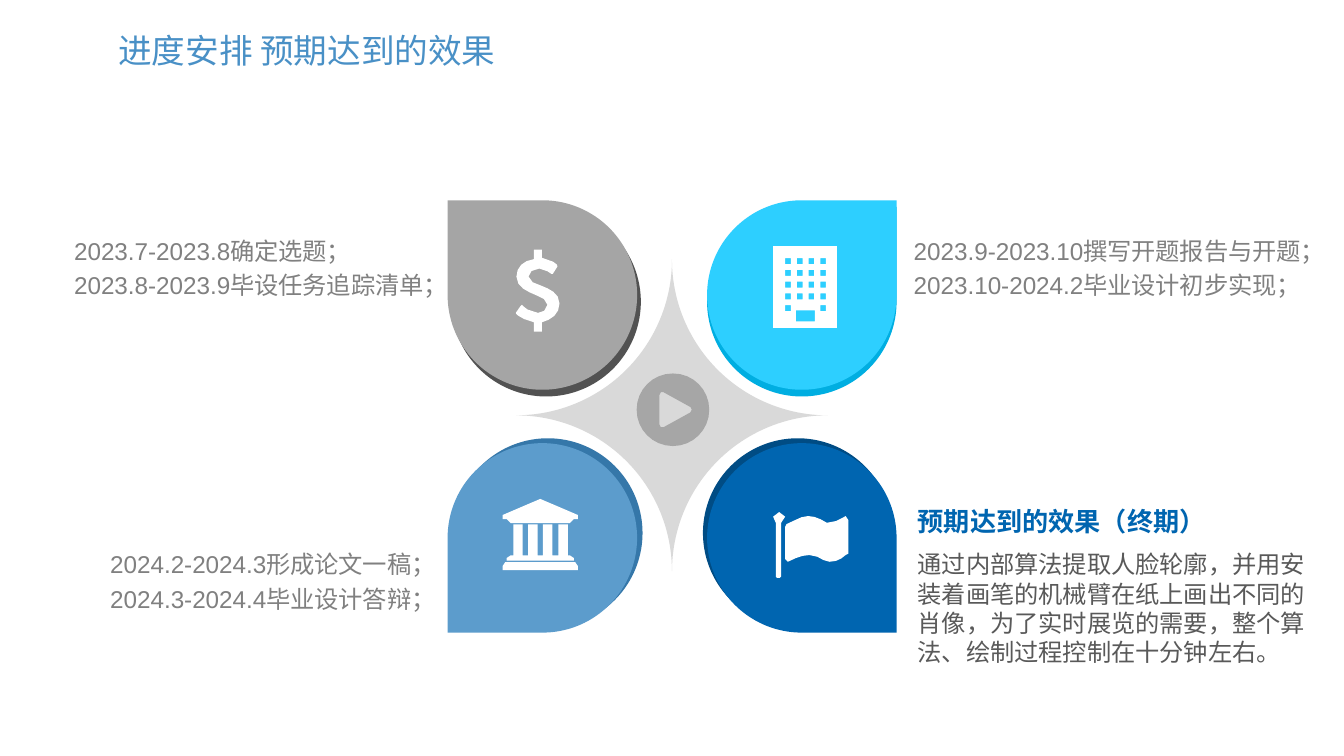
from collections import namedtuple
from dataclasses import dataclass
from math import dist

from lxml.etree import SubElement
from pptx import Presentation
from pptx.dml.color import RGBColor as RGB
from pptx.enum.shapes import MSO_SHAPE as SHAPE
from pptx.enum.text import MSO_ANCHOR as ANCHOR, MSO_AUTO_SIZE as FIT, PP_ALIGN as ALIGN
from pptx.oxml.ns import qn
from pptx.util import Pt

Box = namedtuple("Box", "x y w h")


@dataclass(frozen=True)
class Theme:
    font: str = "Arial"
    title_size: int = 18
    heading_size: int = 14
    body_size: int = 13
    title: str = "4990C6"
    heading: str = "0065B0"
    schedule: str = "808080"
    body: str = "595959"
    star: str = "D9D9D9"
    play: str = "A6A6A6"
    icon: str = "FFFFFF"
    # (face, edge) of each petal
    gray: tuple = ("A5A5A5", "525252")
    cyan: tuple = ("2DCFFF", "00AEE1")
    steel: tuple = ("5C9CCC", "3577A9")
    navy: tuple = ("0065B0", "004C84")


T = Theme()
UNIT = 0.72  # points in one unit of the icon grid


# ---- Shared helpers ----
def paint(sp, color):
    sp.fill.solid()
    sp.fill.fore_color.rgb = RGB.from_string(color)
    sp.line.fill.background()
    sp.shadow.inherit = False


def place(sp, box):
    sp.left, sp.top, sp.width, sp.height = (Pt(v) for v in box)


def write(sp, lines, size, color, bold=False, align=ALIGN.LEFT, wrap=True, inset=(0, 0)):
    tf = sp.text_frame
    tf.text = "\n".join(lines)
    tf.word_wrap, tf.auto_size = wrap, FIT.SHAPE_TO_FIT_TEXT
    tf.vertical_anchor = ANCHOR.TOP
    tf.margin_left = tf.margin_right = Pt(inset[0])
    tf.margin_top = tf.margin_bottom = Pt(inset[1])
    for p in tf.paragraphs:
        p.alignment = align
        pPr = p._p.get_or_add_pPr()
        pPr.set("marL", "0")
        pPr.set("indent", "0")
        SubElement(pPr, qn("a:buNone"))
        for r in p.runs:
            r.font.name, r.font.size, r.font.bold = T.font, Pt(size), bold
            r.font.color.rgb = RGB.from_string(color)


def flatten(contour):
    """Turn corners (x, y) and Bezier pieces (x1, y1, x2, y2, x, y) into points."""
    points = [contour[0]]
    for piece in contour[1:]:
        if len(piece) == 2:
            points.append(piece)
            continue
        x0, y0 = points[-1]
        x1, y1, x2, y2, x3, y3 = piece
        steps = max(1, round(dist((x0, y0), (x3, y3)) / 5))
        for i in range(1, steps + 1):
            t = i / steps
            a, b, c, d = (1 - t) ** 3, 3 * t * (1 - t) ** 2, 3 * t * t * (1 - t), t ** 3
            points.append((a * x0 + b * x1 + c * x2 + d * x3,
                           a * y0 + b * y1 + c * y2 + d * y3))
    return [(Pt(x * UNIT), Pt(y * UNIT)) for x, y in points]


def draw_icon(slide, x, y, contours, color):
    outlines = [flatten(c) for c in contours]
    builder = slide.shapes.build_freeform(*outlines[0][0])
    for i, points in enumerate(outlines):
        if i:
            builder.move_to(*points[0])
        builder.add_line_segments(points[1:], close=True)
    paint(builder.convert_to_shape(Pt(x), Pt(y)), color)


def rectangle(x, y, w, h):
    return [(x, y), (x + w, y), (x + w, y + h), (x, y + h)]


# ---- Icon outlines, in grid units ----
def dollar():
    return [[(20, 54), (20, 61), (14, 61), (14, 54), (5, 52, 1, 48, 1, 48), (0.5, 47),
             (4, 42), (5, 41), (6, 42), (6, 42, 11, 47, 17, 47), (20, 47, 24, 45, 24, 41),
             (24, 37, 20, 36, 16, 34), (9, 31, 1, 28, 1, 20), (1, 13, 6, 8, 14, 7),
             (14, 0), (20, 0), (20, 6), (27, 7, 31, 11, 31, 11), (31.5, 12.5), (28, 18),
             (27, 18), (27, 18, 22, 14, 18, 14), (13, 14, 10, 17, 10, 20),
             (10, 24, 15, 25, 20, 27), (25, 29, 33, 32, 33, 40), (33, 48, 27, 52, 20, 54)]]


def building():
    windows = [rectangle(9 + 8.7 * col, 9 + 8.75 * row, 4.2, 4.4)
               for row in range(5) for col in range(4) if row < 4 or col in (0, 3)]
    return [rectangle(0, 0, 47.5, 61), rectangle(17, 48, 14, 8)] + windows


def bank():
    roof = [(56, 12), (56, 15), (53, 15), (53, 17, 52, 18, 50, 18), (6, 18),
            (4, 18, 3, 17, 3, 15), (0, 15), (0, 12), (28, 0)]
    base = [(56, 50), (56, 53), (0, 53), (0, 50), (0, 48, 1, 47, 2, 47), (54, 47),
            (55, 47, 56, 48, 56, 50)]
    columns = [pt for x in (8, 19, 30, 41.5)
               for pt in ((x, 42), (x, 19), (x + 7, 19), (x + 7, 42))]
    plinth = [(50, 42), (52, 42, 53, 42, 53, 44), (53, 46), (3, 46), (3, 44),
              (3, 42, 4, 42, 6, 42)]
    return [roof, base, columns + plinth]


def flag():
    pole = [(6, 8), (6, 48), (5, 49), (3, 49), (2, 48), (2, 8), (1, 7, 0, 5, 0, 3.5),
            (0, 2, 2, 0, 4.5, 0), (6, 0, 9, 2, 9, 3.5), (9, 5, 8, 7, 6, 8)]
    banner = [(56, 31), (54, 32), (51, 35, 47, 37, 42, 37),
              (37, 37, 34, 32, 27, 32), (22, 32, 17, 34, 11, 37), (9, 35),
              (9, 11), (10, 9), (17, 6, 21, 3, 26, 3), (31, 3, 35, 5, 40, 8),
              (48, 8, 53, 3, 54, 3), (55, 3, 56, 5, 56, 6)]
    return [pole, banner]


def play():
    ring = [(54, 27), (54, 42, 42, 54, 27, 54), (12, 54, 0, 42, 0, 27),
            (0, 12, 12, 0, 27, 0), (42, 0, 54, 12, 54, 27)]
    triangle = [(41, 27), (40, 25), (20, 14), (18, 14), (17, 16),
                (17, 38), (18, 40), (20, 40), (40, 29)]
    return [ring, triangle]


# ---- Regions ----
def add_title(slide, box, text):
    sp = slide.shapes.title
    place(sp, box)
    write(sp, [text], T.title_size, T.title, wrap=False, inset=(7.2, 3.6))


def add_star(slide, box):
    sp = slide.shapes.add_shape(SHAPE.PLAQUE, *(Pt(v) for v in box))
    sp.adjustments[0] = 0.5
    paint(sp, T.star)


def add_petal(slide, box, rotation, colors, edge_shift, icon, icon_shift):
    group = slide.shapes.add_group_shape()
    face, edge = colors
    for color, (dx, dy) in ((edge, edge_shift), (face, (0, 0))):
        sp = group.shapes.add_shape(SHAPE.TEAR, Pt(box.x + dx), Pt(box.y + dy),
                                    Pt(box.w), Pt(box.h))
        sp.rotation = rotation
        paint(sp, color)
    draw_icon(slide, box.x + icon_shift[0], box.y + icon_shift[1], icon, T.icon)


def add_body(slide, idx, box, lines, color, align=ALIGN.LEFT):
    sp = slide.placeholders[idx]
    place(sp, box)
    write(sp, lines, T.body_size, color, align=align)


def add_result(slide, box, heading, text):
    sp = slide.shapes.add_textbox(*(Pt(v) for v in (box.x, box.y, 182, 17.3)))
    write(sp, [heading], T.heading_size, T.heading, bold=True)
    add_body(slide, 4, Box(box.x, box.y + 23.8, box.w, box.h - 23.8), [text], T.body)


def main():
    prs = Presentation()
    prs.slide_width, prs.slide_height = Pt(720), Pt(405)
    slide = prs.slides.add_slide(prs.slide_layouts[4])

    add_title(slide, Box(56.2, 12.2, 217.4, 28.8), "进度安排 预期达到的效果")

    # Star with four petals around it
    add_star(slide, Box(276.5, 139, 167, 167))
    left, right, top, bottom, side = 239.8, 378.8, 107.3, 237.4, 101.5
    petals = [
        (left, top, 270, T.gray, (2, 3.6), dollar(), (36.2, 26.5)),
        (right, top, 0, T.cyan, (0, 3.6), building(), (35.4, 24.5)),
        (left, bottom, 180, T.steel, (2.9, -2.6), bank(), (29.5, 29.9)),
        (right, bottom, 90, T.navy, (-2.2, -2.6), flag(), (35.4, 36.9)),
    ]
    for x, y, *style in petals:
        add_petal(slide, Box(x, y, side, side), *style)
    draw_icon(slide, 341.1, 200.1, play(), T.play)

    # Schedule beside the petals
    add_body(slide, 1, Box(39.7, 126.7, 193, 34.6),
             ["2023.7-2023.8确定选题；", "2023.8-2023.9毕设任务追踪清单；"], T.schedule)
    add_body(slide, 2, Box(489.5, 126.7, 219.6, 34.6),
             ["2023.9-2023.10撰写开题报告与开题；", "2023.10-2024.2毕业设计初步实现；"], T.schedule)
    add_body(slide, 3, Box(56.2, 294.5, 177.1, 34.6),
             ["2024.2-2024.3形成论文一稿；", "2024.3-2024.4毕业设计答辩；"],
             T.schedule, ALIGN.RIGHT)

    # Expected result
    add_result(slide, Box(491.6, 270.7, 212.4, 87.2), "预期达到的效果（终期）",
               "通过内部算法提取人脸轮廓，并用安装着画笔的机械臂在纸上画出不同的肖像，"
               "为了实时展览的需要，整个算法、绘制过程控制在十分钟左右。")

    prs.save("out.pptx")


if __name__ == "__main__":
    main()
